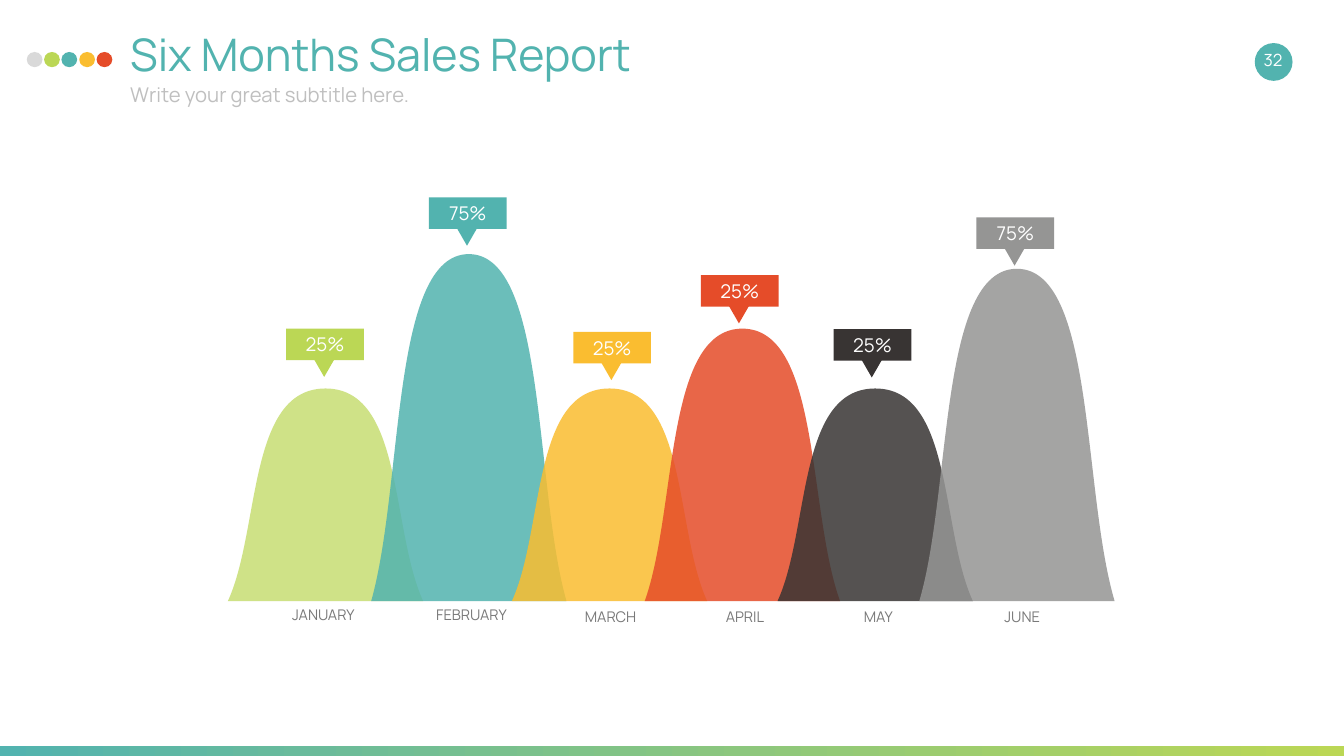
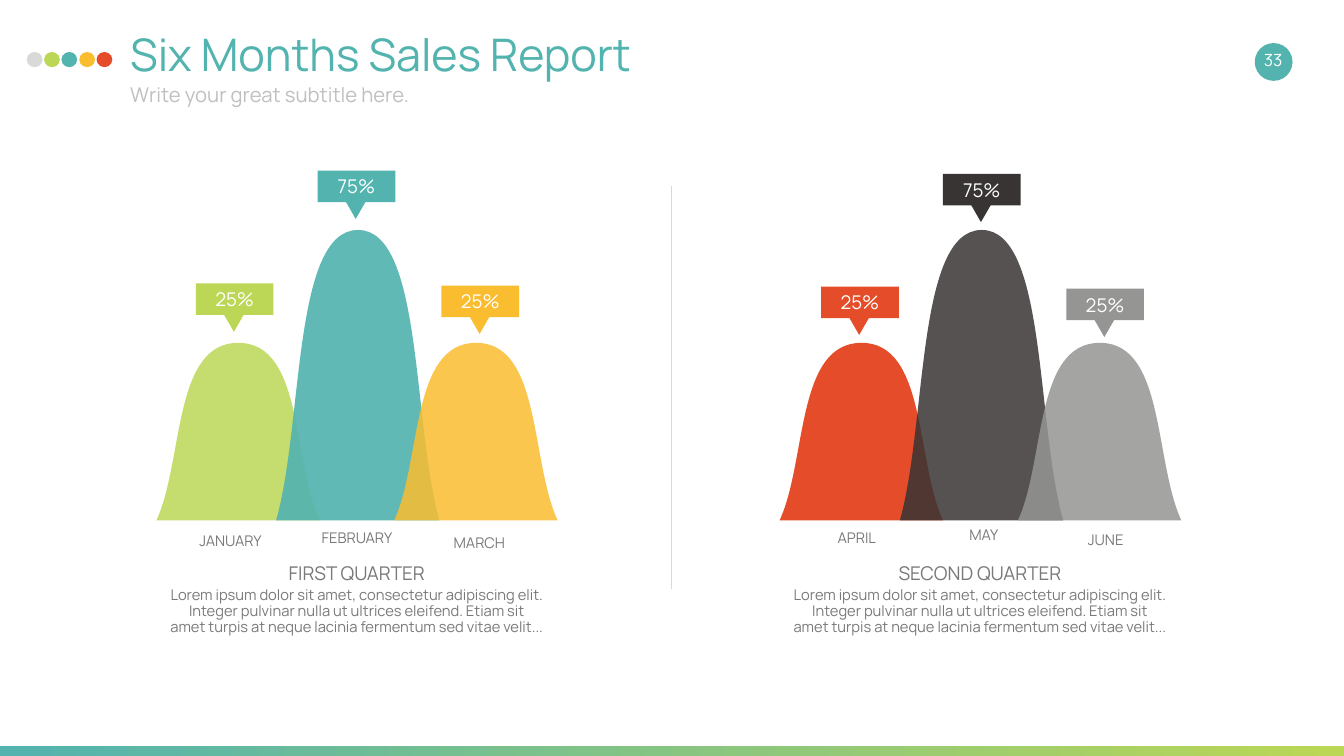
from dataclasses import dataclass

from lxml.etree import SubElement
from pptx import Presentation
from pptx.dml.color import RGBColor
from pptx.enum.shapes import MSO_CONNECTOR, MSO_SHAPE
from pptx.enum.text import MSO_ANCHOR, MSO_AUTO_SIZE, PP_ALIGN
from pptx.oxml.ns import qn
from pptx.util import Pt

PX = 9525


@dataclass(frozen=True)
class Theme:
    font: str = "Manrope"
    white: str = "FFFFFF"
    teal: str = "52B3AF"
    lime: str = "BBD755"
    amber: str = "FABD30"
    red: str = "E54C29"
    dark: str = "383433"
    gray: str = "959594"
    pale: str = "D9D9D9"
    subtitle: str = "BFBFBF"
    body: str = "797979"
    title_size: int = 64
    subtitle_size: int = 29
    heading_size: int = 27
    number_size: int = 24
    body_size: int = 21


theme = Theme()


def write(box, text, size, color, align=PP_ALIGN.CENTER, anchor=MSO_ANCHOR.TOP,
          inset=(26, 12), line_spacing=None, before=0, append=False):
    frame = box.text_frame
    frame.word_wrap = True
    frame.auto_size = MSO_AUTO_SIZE.NONE
    frame.vertical_anchor = anchor
    frame.margin_left = frame.margin_right = inset[0] * PX
    frame.margin_top = frame.margin_bottom = inset[1] * PX
    para = frame.add_paragraph() if append else frame.paragraphs[0]
    para.alignment = align
    para.space_before = Pt(before)
    if line_spacing:
        para.line_spacing = line_spacing
    span = para.add_run()
    span.text = text
    span.font.name = theme.font
    span.font.size = Pt(size)
    span.font.color.rgb = RGBColor.from_string(color)


def paint(shape, color, opacity=100):
    shape.shadow.inherit = False
    shape.line.fill.background()
    shape.fill.solid()
    shape.fill.fore_color.rgb = RGBColor.from_string(color)
    if opacity < 100:
        swatch = shape._element.spPr.find(f"{qn('a:solidFill')}/{qn('a:srgbClr')}")
        SubElement(swatch, qn("a:alpha")).set("val", str(opacity * 1000))


months = ["JANUARY", "FEBRUARY", "MARCH", "APRIL", "MAY", "JUNE"]
month_colors = [theme.lime, theme.teal, theme.amber, theme.red, theme.dark, theme.gray]
label_widths = [246, 226, 258]
dot_colors = [theme.pale, theme.lime, theme.teal, theme.amber, theme.red]
lorem = ("Lorem ipsum dolor sit amet, consectetur adipiscing elit. Integer pulvinar "
         "nulla ut ultrices eleifend. Etiam sit amet turpis at neque lacinia "
         "fermentum sed vitae velit...")

reports = [
    {
        "number": "32", "base": 1145, "peak_width": 372, "label_inset": (10, 5),
        "values": ["25%", "75%", "25%", "25%", "25%", "75%"],
        "opacities": [70, 85, 85, 85, 85, 85],
        "peaks": [(434, 740), (707, 484), (975, 740), (1228, 626), (1481, 740), (1751, 512)],
        "callouts": [(545, 626), (817, 376), (1092, 632), (1335, 524), (1588, 627), (1860, 414)],
        "labels": [(493, 1149), (785, 1149), (1034, 1153), (1296, 1153), (1560, 1153), (1818, 1153)],
        "quarters": [],
    },
    {
        "number": "33", "base": 991, "peak_width": 311, "label_inset": (26, 12),
        "values": ["25%", "75%", "25%"] * 2,
        "opacities": [85, 91, 85, 100, 85, 85],
        "peaks": [(298, 653), (526, 438), (751, 653), (1485, 653), (1714, 438), (1939, 653)],
        "callouts": [(373, 540), (605, 325), (841, 544), (1564, 546), (1796, 331), (2031, 550)],
        "labels": [(316, 1001), (567, 996), (784, 1005), (1509, 996), (1761, 990), (1977, 999)],
        "quarters": [("FIRST QUARTER", 298), ("SECOND QUARTER", 1485)],
    },
]

deck = Presentation()
deck.slide_width = 2560 * PX
deck.slide_height = 1440 * PX

for report in reports:
    page = deck.slides.add_slide(deck.slide_layouts[5])
    shapes = page.shapes

    band = shapes.add_shape(MSO_SHAPE.RECTANGLE, 0, 1420 * PX, 2560 * PX, 36 * PX)
    paint(band, theme.teal)
    band.fill.gradient()
    band.fill.gradient_angle = 0
    for stop, color in zip(band.fill.gradient_stops, [theme.teal, theme.lime]):
        stop.color.rgb = RGBColor.from_string(color)

    badge = shapes.add_shape(MSO_SHAPE.OVAL, 2390 * PX, 82 * PX, 72 * PX, 72 * PX)
    paint(badge, theme.teal)
    for index, color in enumerate(dot_colors):
        dot = shapes.add_shape(MSO_SHAPE.OVAL, (51 + index * 100 // 3) * PX, 99 * PX, 30 * PX, 29 * PX)
        paint(dot, color)

    title = shapes.title
    title.left, title.top, title.width, title.height = 222 * PX, 39 * PX, 2040 * PX, 154 * PX
    write(title, "Six Months Sales Report", theme.title_size, theme.teal, align=PP_ALIGN.LEFT)
    subtitle = shapes.add_textbox(222 * PX, 144 * PX, 2040 * PX, 82 * PX)
    write(subtitle, "Write your great subtitle here.", theme.subtitle_size, theme.subtitle,
          align=PP_ALIGN.LEFT)
    number = shapes.add_textbox(2369 * PX, 75 * PX, 112 * PX, 77 * PX)
    write(number, report["number"], theme.number_size, theme.white, anchor=MSO_ANCHOR.MIDDLE)

    width, base = report["peak_width"], report["base"]
    for (left, top), color, opacity in zip(report["peaks"], month_colors, report["opacities"]):
        height = base - top
        builder = shapes.build_freeform(left, base, scale=PX)
        builder.add_line_segments([(left + width // 2, top), (left + width, base)])
        peak = builder.convert_to_shape()
        paint(peak, color, opacity)
        outline = peak._element.xpath(".//a:path")[0]
        curves = [
            [(width / 6, height * 2 / 3), (width * 0.1, 0), (width / 2, 0)],
            [(width * 0.9, 0), (width * 5 / 6, height * 2 / 3), (width, height)],
        ]
        for segment, points in zip(outline.findall(qn("a:lnTo")), curves):
            curve = SubElement(outline, qn("a:cubicBezTo"))
            for x, y in points:
                point = SubElement(curve, qn("a:pt"))
                point.set("x", str(round(x)))
                point.set("y", str(round(y)))
            outline.replace(segment, curve)

    for index, (left, top) in enumerate(report["labels"]):
        label = shapes.add_textbox(left * PX, top * PX, label_widths[index % 3] * PX, 80 * PX)
        write(label, months[index], theme.body_size, theme.body, inset=report["label_inset"])

    for (left, top), color, value in zip(report["callouts"], month_colors, report["values"]):
        pointer = shapes.add_shape(MSO_SHAPE.ISOSCELES_TRIANGLE, (left + 42) * PX, (top + 39) * PX,
                                   61 * PX, 53 * PX)
        pointer.rotation = 180
        paint(pointer, color)
        callout = shapes.add_shape(MSO_SHAPE.RECTANGLE, left * PX, top * PX, 148 * PX, 60 * PX)
        paint(callout, color)
        write(callout, value, theme.heading_size, theme.white, anchor=MSO_ANCHOR.MIDDLE, inset=(0, 0))

    if report["quarters"]:
        divider = shapes.add_connector(MSO_CONNECTOR.STRAIGHT, 1278 * PX, 354 * PX, 1278 * PX, 1122 * PX)
        divider.line.color.rgb = RGBColor.from_string(theme.pale)
        divider.line.width = Pt(1)
        SubElement(divider._element.spPr, qn("a:effectLst"))
    for heading, left in report["quarters"]:
        summary = shapes.add_textbox(left * PX, 1063 * PX, 763 * PX, 212 * PX)
        write(summary, heading, theme.heading_size, theme.body, line_spacing=0.9)
        write(summary, lorem, theme.body_size, theme.body, line_spacing=0.9, before=4, append=True)

deck.save("out.pptx")
